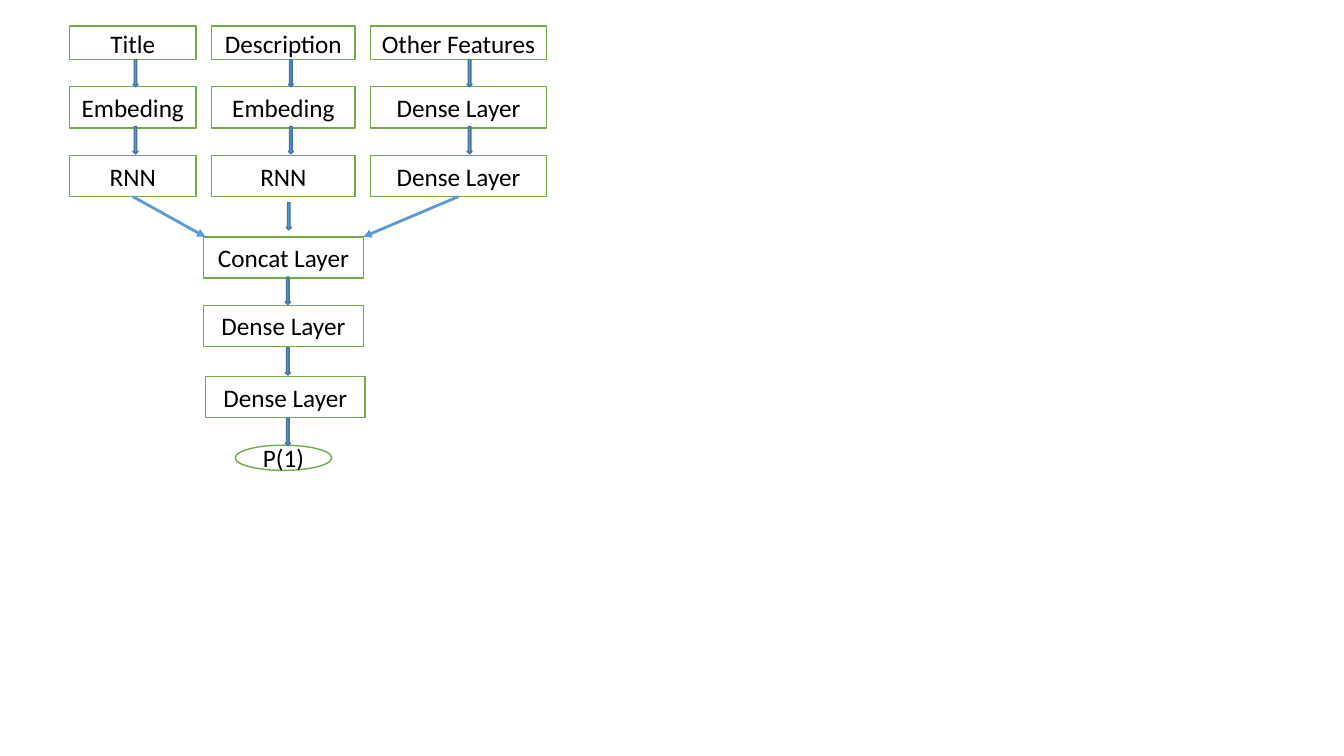
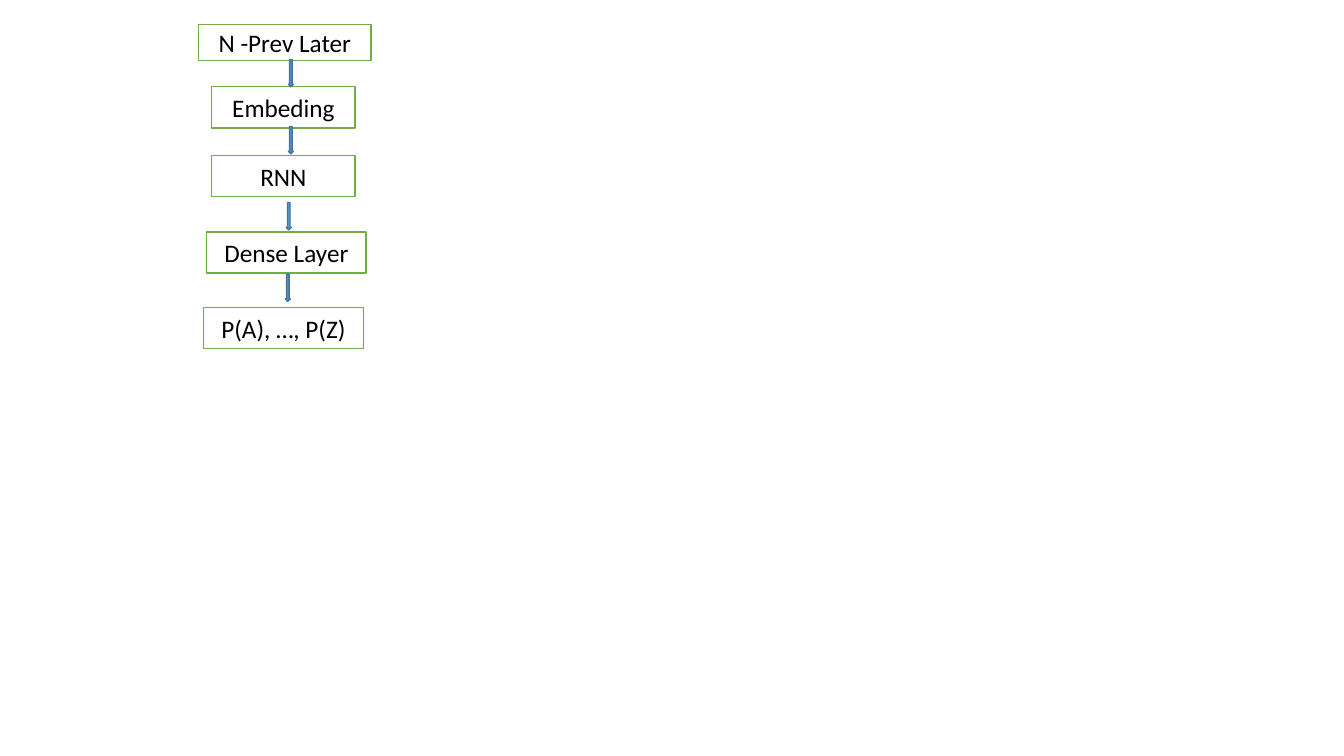
import pptx
import pptx.dml.color
import pptx.enum.shapes
import pptx.enum.text
import pptx.oxml.ns
import pptx.util
from lxml import etree

Pt = pptx.util.Pt
SHAPES = pptx.enum.shapes.MSO_SHAPE
COLORS = {
    "paper": "FFFFFF",
    "text": "000000",
    "layer_border": "70AD47",
    "flow": "5B9BD5",
    "flow_border": "43739E",
}
FONT = "Calibri"
BLANK_LAYOUT = 6

INPUT_TOP, INPUT_HEIGHT = 18.7, 24
LAYER_HEIGHT = 29.5
EMBEDDING_TOP, RNN_TOP = 62, 110.9
MIDDLE_LEFT, MIDDLE_WIDTH = 151.2, 102.5
MIDDLE_ARROW_X = 206
LOWER_LEFT, LOWER_WIDTH = 145.5, 114
LOWER_ARROW_X = 203.8
ARROW_WIDTH, ARROW_HEIGHT = 3.6, 19.5
ARROW_TOPS = (42.5, 90.4)
RNN_ARROW = (204.5, 144.7)

# label, left, width of each layer, with the x and tops of its arrows
BRANCHES = (
    (("Title", "Embeding", "RNN"), 49.6, 90.5, 95),
    (("Description", "Embeding", "RNN"), MIDDLE_LEFT, MIDDLE_WIDTH, MIDDLE_ARROW_X),
    (("Other Features", "Dense Layer", "Dense Layer"), 264.5, 126, 333.6),
)
BRANCH_ROWS = (
    (INPUT_TOP, INPUT_HEIGHT),
    (EMBEDDING_TOP, LAYER_HEIGHT),
    (RNN_TOP, LAYER_HEIGHT),
)


def color(name):
    return pptx.dml.color.RGBColor.from_string(COLORS[name])


def add_filled(slide, preset, left, top, width, height, fill, border):
    shape = slide.shapes.add_shape(preset, Pt(left), Pt(top), Pt(width), Pt(height))
    shape.shadow.inherit = False
    shape.fill.solid()
    shape.fill.fore_color.rgb = color(fill)
    shape.line.color.rgb = color(border)
    shape.line.width = Pt(1)
    return shape


def add_layer(slide, label, left, top, width, height=LAYER_HEIGHT, preset=SHAPES.RECTANGLE):
    layer = add_filled(slide, preset, left, top, width, height, "paper", "layer_border")
    frame = layer.text_frame
    frame.word_wrap = True
    frame.margin_left = frame.margin_right = Pt(3.6)
    frame.vertical_anchor = pptx.enum.text.MSO_ANCHOR.MIDDLE
    paragraph = frame.paragraphs[0]
    paragraph.alignment = pptx.enum.text.PP_ALIGN.CENTER
    run = paragraph.add_run()
    run.text = label
    run.font.name = FONT
    run.font.size = Pt(18)
    run.font.color.rgb = color("text")
    return layer


def add_down_arrow(slide, left, top):
    add_filled(slide, SHAPES.DOWN_ARROW, left, top, ARROW_WIDTH, ARROW_HEIGHT,
               "flow", "flow_border")


def add_merge_arrow(slide, source, end_x, end_y):
    """Draw an arrow from the bottom centre of source to a point."""
    arrow = slide.shapes.add_connector(
        pptx.enum.shapes.MSO_CONNECTOR.STRAIGHT, 0, 0, Pt(end_x), Pt(end_y))
    arrow.begin_connect(source, 2)
    arrow.line.color.rgb = color("flow")
    arrow.line.width = Pt(2)
    qn = pptx.oxml.ns.qn
    etree.SubElement(arrow.line._get_or_add_ln(), qn("a:tailEnd"), type="triangle")
    etree.SubElement(arrow._element.spPr, qn("a:effectLst"))


def build_classifier(slide):
    outputs = []
    for labels, left, width, _ in BRANCHES:
        for label, (top, height) in zip(labels, BRANCH_ROWS):
            layer = add_layer(slide, label, left, top, width, height)
        outputs.append(layer)

    concat_top = 169.2
    add_layer(slide, "Concat Layer", LOWER_LEFT, concat_top, LOWER_WIDTH)
    add_layer(slide, "Dense Layer", LOWER_LEFT, 218, LOWER_WIDTH)
    add_layer(slide, "Dense Layer", 146.8, 268.8, LOWER_WIDTH)
    add_layer(slide, "P(1)", 168, 318, 69, 18, SHAPES.OVAL)

    for _, _, _, arrow_x in BRANCHES:
        for top in ARROW_TOPS:
            add_down_arrow(slide, arrow_x, top)
    add_down_arrow(slide, *RNN_ARROW)
    for step in range(3):
        add_down_arrow(slide, LOWER_ARROW_X, 198 + step * 50.4)

    title_output, _, features_output = outputs
    add_merge_arrow(slide, title_output, LOWER_LEFT + 1.3, concat_top)
    add_merge_arrow(slide, features_output, LOWER_LEFT + LOWER_WIDTH, concat_top)


def build_letter_predictor(slide):
    add_layer(slide, "N -Prev Later", 142, 17.3, 123, 26)
    add_layer(slide, "Embeding", MIDDLE_LEFT, EMBEDDING_TOP, MIDDLE_WIDTH)
    add_layer(slide, "RNN", MIDDLE_LEFT, RNN_TOP, MIDDLE_WIDTH)
    add_layer(slide, "Dense Layer", 147.6, 165.6, LOWER_WIDTH)
    add_layer(slide, "P(A), …, P(Z)", LOWER_LEFT, 219.6, LOWER_WIDTH)

    for top in ARROW_TOPS:
        add_down_arrow(slide, MIDDLE_ARROW_X, top)
    add_down_arrow(slide, *RNN_ARROW)
    add_down_arrow(slide, LOWER_ARROW_X, 195.8)


def main():
    deck = pptx.Presentation()
    deck.slide_width, deck.slide_height = Pt(960), Pt(540)
    for build in (build_classifier, build_letter_predictor):
        build(deck.slides.add_slide(deck.slide_layouts[BLANK_LAYOUT]))
    deck.save("out.pptx")


if __name__ == "__main__":
    main()
